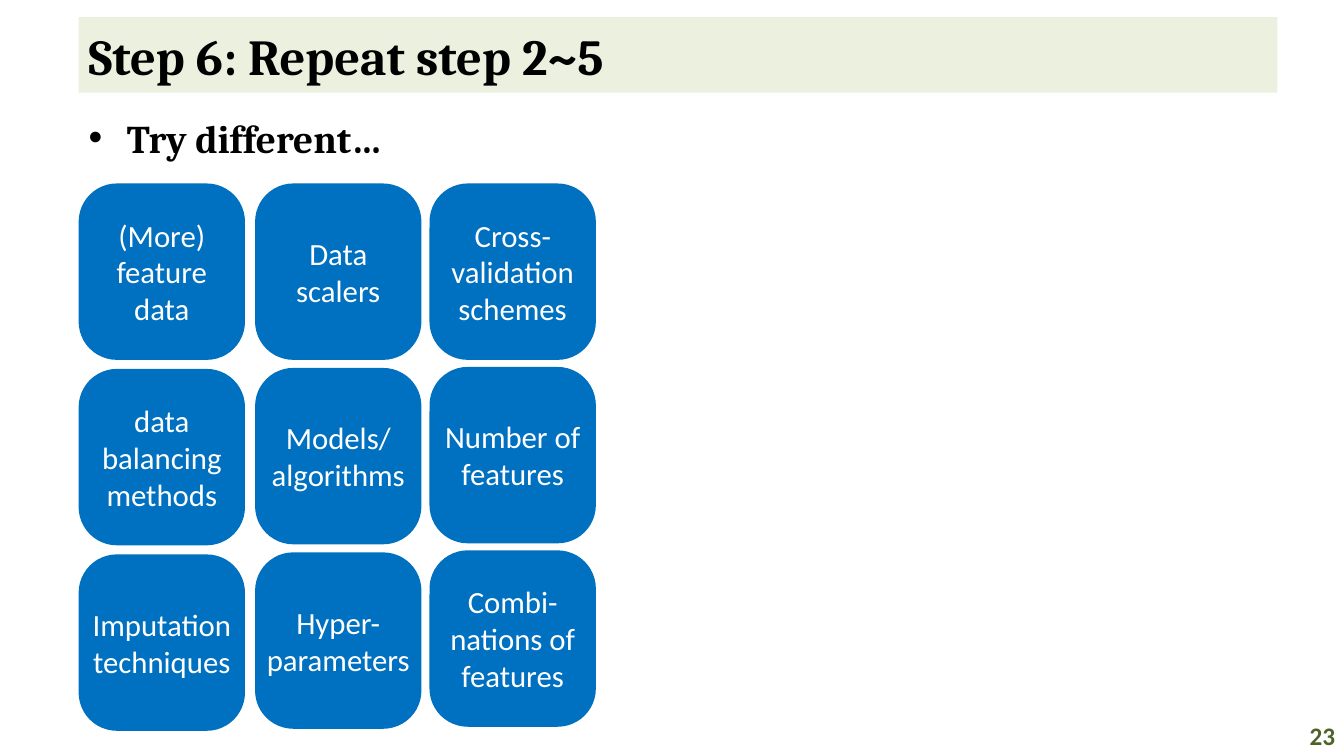
from pptx import Presentation
from pptx.dml.color import RGBColor
from pptx.enum.shapes import MSO_SHAPE
from pptx.enum.text import MSO_ANCHOR, PP_ALIGN
from pptx.oxml import parse_xml
from pptx.oxml.ns import nsdecls

PX = 9144  # 100 px to the inch
EDGE, WIDE = 78, 1189

# Each column: left edge, row pitch, labels from top to bottom
COLUMNS = [
    (78, 184, ["(More) feature data", "data balancing methods",
               "Imputation techniques"]),
    (253, 183, ["Data scalers", "Models/\nalgorithms", "Hyper-parameters"]),
    (426, 182, ["Cross-validation schemes", "Number of features",
                "Combi-nations of features"]),
]


def color(code):
    return RGBColor.from_string(code)


def emu(box):
    return [n * PX for n in box]


def write(shape, text, size, face, ink, bold=False, align=PP_ALIGN.LEFT,
          anchor=MSO_ANCHOR.MIDDLE):
    frame = shape.text_frame
    frame.word_wrap = True
    frame.vertical_anchor = anchor
    for i, line in enumerate(text.split("\n")):
        para = frame.add_paragraph() if i else frame.paragraphs[0]
        para.alignment = align
        run = para.add_run()
        run.text = line
        font = run.font
        font.size = size * 12700
        font.name = face
        font.bold = bold
        font.color.rgb = color(ink)
    return frame


def block(slide, kind, box, fill):
    """Add a filled shape with no line and no shadow."""
    shape = slide.shapes.add_shape(kind, *emu(box))
    shape.shadow.inherit = False
    shape.fill.solid()
    shape.fill.fore_color.rgb = color(fill)
    shape.line.fill.background()
    return shape


def title(slide, box, text):
    bar = block(slide, MSO_SHAPE.RECTANGLE, box, "EBF1DE")
    write(bar, text, 36, "Cambria", "000000", True)


def bullet(slide, box, text):
    area = slide.shapes.add_textbox(*emu(box))
    props = area.text_frame.paragraphs[0]._p.get_or_add_pPr()
    props.set("marL", str(38 * PX))
    props.set("indent", str(-38 * PX))
    for tag in ('a:buFont %s typeface="Arial"', 'a:buChar %s char="•"'):
        props.append(parse_xml("<" + tag % nsdecls("a") + "/>"))
    write(area, text, 28, "Cambria", "000000", True, anchor=MSO_ANCHOR.TOP)


def tile(slide, box, text):
    shape = block(slide, MSO_SHAPE.ROUNDED_RECTANGLE, box, "0070C0")
    shape.adjustments[0] = 0.23
    frame = write(shape, text, 22, "Calibri", "FFFFFF", align=PP_ALIGN.CENTER)
    frame.margin_left = frame.margin_right = 0


def grid(slide, top, wide, high):
    for left, pitch, labels in COLUMNS:
        for row, text in enumerate(labels):
            tile(slide, (left, top + row * pitch, wide, high), text)


def number(slide, box, text):
    area = slide.shapes.add_textbox(*emu(box))
    write(area, text, 18, "Calibri", "4F6228", True, PP_ALIGN.RIGHT)


def main():
    deck = Presentation()
    deck.slide_width, deck.slide_height = emu((1333, 750))
    slide = deck.slides.add_slide(deck.slide_layouts[6])
    bullet(slide, (EDGE, 108, WIDE, 575), "Try different…")
    title(slide, (EDGE, 17, WIDE, 75), "Step 6: Repeat step 2~5")
    number(slide, (1267, 710, 67, 40), "23")
    grid(slide, 182, 165, 175)
    deck.save("out.pptx")


if __name__ == "__main__":
    main()
